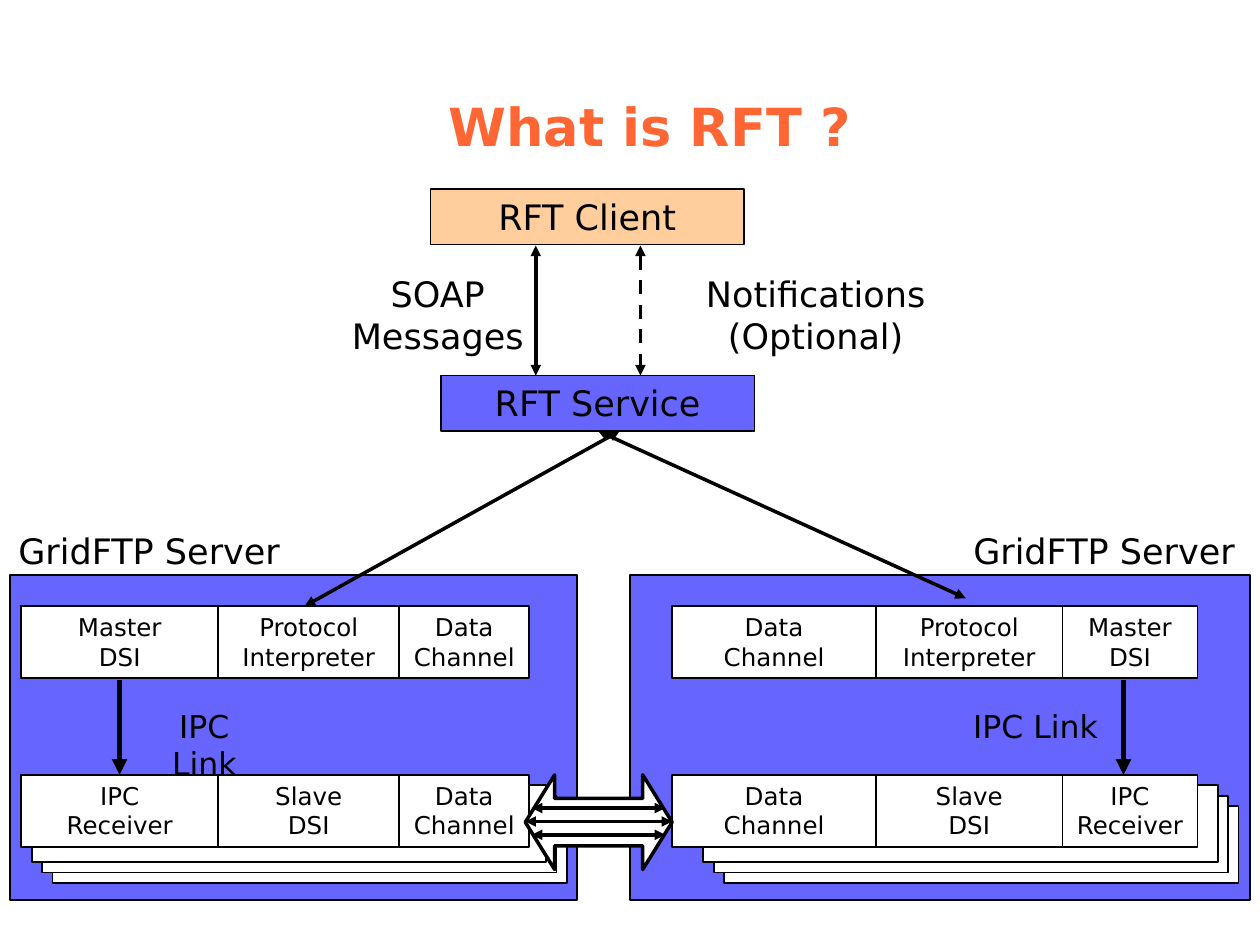
import pptx
import pptx.dml.color
import pptx.enum.dml
import pptx.enum.shapes
import pptx.enum.text
import pptx.oxml.xmlchemy
import pptx.util

BLACK = pptx.dml.color.RGBColor(0x00, 0x00, 0x00)
WHITE = pptx.dml.color.RGBColor(0xFF, 0xFF, 0xFF)
BLUE = pptx.dml.color.RGBColor(0x66, 0x66, 0xFF)
PEACH = pptx.dml.color.RGBColor(0xFF, 0xCE, 0x9C)
ORANGE = pptx.dml.color.RGBColor(0xFF, 0x66, 0x33)
FONT = "DejaVu Sans"

# Lengths are in centimetres.
MASTER_TOP, SLAVE_TOP, ROW_HEIGHT = 12.22, 15.62, 1.45
STACK_STEP = 0.21


def write_text(shape, text, size, color=BLACK, bold=False,
               anchor=pptx.enum.text.MSO_ANCHOR.TOP):
    frame = shape.text_frame
    frame.word_wrap = True
    frame.vertical_anchor = anchor
    paragraph = frame.paragraphs[0]
    paragraph.text = text
    paragraph.alignment = pptx.enum.text.PP_ALIGN.CENTER
    paragraph.font.name = FONT
    paragraph.font.size = pptx.util.Pt(size)
    paragraph.font.bold = bold
    paragraph.font.color.rgb = color


def add_label(slide, box, text, size, **style):
    textbox = slide.shapes.add_textbox(*map(pptx.util.Cm, box))
    write_text(textbox, text, size, **style)


def add_box(slide, box, fill, text=None, size=20, line_width=1,
            kind=pptx.enum.shapes.MSO_SHAPE.RECTANGLE):
    shape = slide.shapes.add_shape(kind, *map(pptx.util.Cm, box))
    shape.shadow.inherit = False
    shape.fill.solid()
    shape.fill.fore_color.rgb = fill
    shape.line.color.rgb = BLACK
    shape.line.width = pptx.util.Pt(line_width)
    if text:
        write_text(shape, text, size)
    return shape


def add_arrow(slide, start, end, width=2, both_ends=True, dashed=False):
    connector = slide.shapes.add_connector(
        pptx.enum.shapes.MSO_CONNECTOR.STRAIGHT, *map(pptx.util.Cm, start + end))
    line = connector.line
    line.color.rgb = BLACK
    line.width = pptx.util.Pt(width)
    if dashed:
        line.dash_style = pptx.enum.dml.MSO_LINE.DASH
    outline = connector._element.spPr.get_or_add_ln()
    for tag in ("a:headEnd", "a:tailEnd") if both_ends else ("a:tailEnd",):
        arrowhead = pptx.oxml.xmlchemy.OxmlElement(tag)
        arrowhead.set("type", "triangle")
        outline.append(arrowhead)
    connector._element.spPr.append(pptx.oxml.xmlchemy.OxmlElement("a:effectLst"))


def add_server(slide, left, stack_left, widths, master_row, slave_row):
    """Draw the stacked sheets and the two rows of components of a server."""
    for depth in (3, 2, 1):
        offset = depth * STACK_STEP
        add_box(slide, (stack_left + offset, SLAVE_TOP + offset, 10.37, 1.55), WHITE)
    for top, names in ((MASTER_TOP, master_row), (SLAVE_TOP, slave_row)):
        cell_left = left
        for name, width in zip(names, widths):
            add_box(slide, (cell_left, top, width, ROW_HEIGHT), WHITE, name, 14)
            cell_left += width


def add_ipc_link(slide, arrow_x, label_left, label_width):
    add_arrow(slide, (arrow_x, 13.7), (arrow_x, SLAVE_TOP), width=3, both_ends=False)
    add_label(slide, (label_left, 14.12, label_width, 1.02), "IPC Link", 18)


def add_data_channels(slide):
    arrow = add_box(slide, (10.59, SLAVE_TOP, 2.96, 1.91), WHITE, line_width=2,
                    kind=pptx.enum.shapes.MSO_SHAPE.LEFT_RIGHT_ARROW)
    arrow.adjustments[0] = 0.5
    arrow.adjustments[1] = 0.31
    for left, right, y in ((10.59, 13.55, 16.56), (10.72, 13.41, 16.83),
                           (10.72, 13.41, 16.29)):
        add_arrow(slide, (left, y), (right, y))


def main():
    presentation = pptx.Presentation()
    presentation.slide_width = pptx.util.Cm(25.4)
    presentation.slide_height = pptx.util.Cm(19.05)
    slide = presentation.slides.add_slide(presentation.slide_layouts[6])

    add_box(slide, (12.7, 11.59, 12.5, 6.56), BLUE)
    add_box(slide, (0.21, 11.59, 11.43, 6.56), BLUE)
    add_label(slide, (2.9, 1.88, 20.4, 1.42), "What is RFT ?", 30, color=ORANGE,
              bold=True, anchor=pptx.enum.text.MSO_ANCHOR.BOTTOM)

    add_box(slide, (8.89, 7.57, 6.32, 1.12), BLUE, "RFT Service")
    add_arrow(slide, (12.49, 8.69), (6.14, 12.22))
    add_arrow(slide, (12.06, 8.69), (19.47, 12.06))
    add_box(slide, (8.68, 3.81, 6.32, 1.12), PEACH, "RFT Client")
    add_arrow(slide, (12.91, 4.95), (12.91, 7.57), dashed=True)
    add_arrow(slide, (10.8, 4.95), (10.8, 7.57))
    add_label(slide, (6.35, 5.36, 4.95, 1.96), "SOAP Messages", 20)
    add_label(slide, (13.97, 5.36, 4.95, 1.96), "Notifications\n(Optional)", 20)

    add_server(slide, 13.55, 13.97, (4.11, 3.76, 2.72),
               ("Data\nChannel", "Protocol Interpreter", "Master\nDSI"),
               ("Data\nChannel", "Slave\nDSI", "IPC\nReceiver"))
    add_ipc_link(slide, 22.65, 19.25, 3.25)
    add_server(slide, 0.43, 0.43, (3.97, 3.65, 2.62),
               ("Master\nDSI", "Protocol Interpreter", "Data Channel"),
               ("IPC\nReceiver", "Slave\nDSI", "Data Channel"))
    add_ipc_link(slide, 2.41, 2.67, 2.9)
    add_data_channels(slide)

    for left in (0, 19.25):
        add_label(slide, (left, 10.54, 6.02, 1.12), "GridFTP Server", 20)

    presentation.save("out.pptx")


if __name__ == "__main__":
    main()
